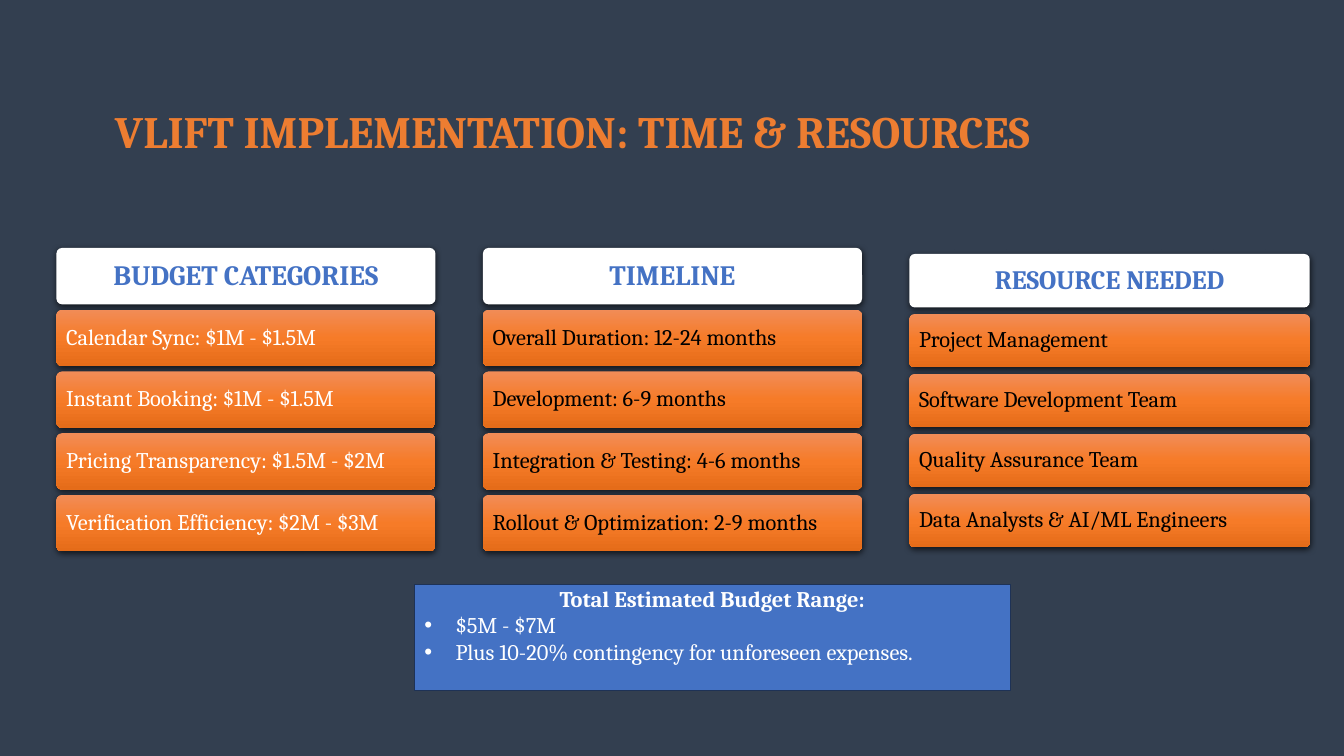
from copy import deepcopy
from dataclasses import dataclass

from lxml.etree import SubElement
from pptx import Presentation
from pptx.dml.color import RGBColor
from pptx.enum.shapes import MSO_SHAPE
from pptx.enum.text import MSO_ANCHOR, MSO_AUTO_SIZE, PP_ALIGN
from pptx.oxml.ns import qn
from pptx.util import Inches, Pt

TITLE = "VLIFT IMPLEMENTATION: TIME & RESOURCES"

COLUMNS = [
    {
        "heading": "BUDGET CATEGORIES",
        "items": ["Calendar Sync: $1M - $1.5M", "Instant Booking: $1M - $1.5M",
                  "Pricing Transparency: $1.5M - $2M", "Verification Efficiency: $2M - $3M"],
        "box": (0.56, 2.46, 3.76, 3.01), "card_height": 0.56,
        "heading_size": 20, "item_color": "FFFFFF",
    },
    {
        "heading": "TIMELINE",
        "items": ["Overall Duration: 12-24 months", "Development: 6-9 months",
                  "Integration & Testing: 4-6 months", "Rollout & Optimization: 2-9 months"],
        "box": (4.79, 2.46, 3.76, 3.01), "card_height": 0.56,
        "heading_size": 20, "item_color": "000000",
    },
    {
        "heading": "RESOURCE NEEDED",
        "items": ["Project Management", "Software Development Team",
                  "Quality Assurance Team", "Data Analysts & AI/ML Engineers"],
        "box": (9.02, 2.52, 3.97, 2.91), "card_height": 0.53,
        "heading_size": 19, "item_color": "000000",
    },
]

TOTAL_HEADING = "Total Estimated Budget Range:"
TOTAL_POINTS = ["$5M - $7M", "Plus 10-20% contingency for unforeseen expenses."]


@dataclass(frozen=True)
class Theme:
    """Colours, font and type sizes of the slide."""
    font: str = "Cambria"
    background: str = "333F50"
    title: str = "ED7D31"
    blue: str = "4472C4"
    blue_line: str = "1E3256"
    white: str = "FFFFFF"
    shadow: str = "000000"
    gradient: tuple = ((0, "F18C57"), (0.5, "F67B28"), (1, "E56C19"))
    title_size: int = 32
    body_size: int = 16


THEME = Theme()


def rgb(value):
    """Turn a hex string into a colour."""
    return RGBColor.from_string(value)


def write_text(paragraph, text, *, size=THEME.body_size, color=THEME.white, bold=False,
               align=PP_ALIGN.LEFT, line_spacing=1.0, bullet=False):
    """Fill one paragraph with formatted text."""
    if bullet:
        properties = paragraph._p.get_or_add_pPr()
        properties.set("marL", str(Inches(0.31)))
        properties.set("indent", str(-Inches(0.31)))
        SubElement(properties, qn("a:buFont"), typeface="Arial")
        SubElement(properties, qn("a:buChar"), char="•")
    paragraph.alignment = align
    paragraph.line_spacing = line_spacing
    run = paragraph.add_run()
    run.text = text
    run.font.name = THEME.font
    run.font.size = Pt(size)
    run.font.bold = bold
    run.font.color.rgb = rgb(color)


def fill_gradient(shape):
    """Give a shape the three-stop vertical gradient."""
    shape.fill.gradient()
    shape.fill.gradient_angle = 270
    stop_list = shape._element.spPr.find(qn("a:gradFill")).find(qn("a:gsLst"))
    stop_list.append(deepcopy(stop_list[0]))
    for stop, (position, color) in zip(shape.fill.gradient_stops, THEME.gradient):
        stop.position = position
        stop.color.rgb = rgb(color)


def add_shadow(shape):
    """Add a soft shadow below a shape."""
    effects = shape._element.spPr.find(qn("a:effectLst"))
    shadow = SubElement(effects, qn("a:outerShdw"), blurRad=str(Pt(4.5)), dist=str(Pt(1.5)),
                        dir="5400000", algn="ctr", rotWithShape="0")
    color = SubElement(shadow, qn("a:srgbClr"), val=THEME.shadow)
    SubElement(color, qn("a:alpha"), val="63000")


def add_card(slide, box, text, *, heading=False, **text_format):
    """Draw one rounded card with its text."""
    card = slide.shapes.add_shape(MSO_SHAPE.ROUNDED_RECTANGLE, *map(Inches, box))
    card.adjustments[0] = 0.1
    if heading:
        card.fill.solid()
        card.fill.fore_color.rgb = rgb(THEME.white)
    else:
        fill_gradient(card)
    card.line.fill.background()
    card.shadow.inherit = False
    add_shadow(card)
    frame = card.text_frame
    frame.word_wrap = True
    frame.vertical_anchor = MSO_ANCHOR.MIDDLE
    frame.margin_left = frame.margin_right = Inches(0.08)
    write_text(frame.paragraphs[0], text, line_spacing=0.9, **text_format)


def add_column(slide, column):
    """Stack a heading card and its item cards at equal steps."""
    left, top, width, stack_height = column["box"]
    height = column["card_height"]
    step = (stack_height - height) / len(column["items"])
    add_card(slide, (left, top, width, height), column["heading"], heading=True,
             size=column["heading_size"], color=THEME.blue, bold=True, align=PP_ALIGN.CENTER)
    for row, item in enumerate(column["items"], start=1):
        add_card(slide, (left, top + row * step, width, height), item,
                 color=column["item_color"])


def add_title(slide):
    """Place and format the title."""
    title = slide.shapes.title
    title.left, title.top, title.width, title.height = map(Inches, (1.04, 0.88, 10.96, 0.74))
    frame = title.text_frame
    frame.auto_size = MSO_AUTO_SIZE.NONE
    frame.word_wrap = True
    frame.vertical_anchor = MSO_ANCHOR.BOTTOM
    write_text(frame.paragraphs[0], TITLE, size=THEME.title_size, color=THEME.title,
               bold=True, line_spacing=0.9)


def add_total(slide):
    """Draw the box with the total budget."""
    box = slide.shapes.add_shape(MSO_SHAPE.RECTANGLE, *map(Inches, (4.11, 5.8, 5.91, 1.05)))
    box.fill.solid()
    box.fill.fore_color.rgb = rgb(THEME.blue)
    box.line.color.rgb = rgb(THEME.blue_line)
    box.line.width = Pt(1)
    box.shadow.inherit = False
    frame = box.text_frame
    frame.word_wrap = True
    frame.vertical_anchor = MSO_ANCHOR.TOP
    frame.margin_top = 0
    write_text(frame.paragraphs[0], TOTAL_HEADING, bold=True, align=PP_ALIGN.CENTER)
    for point in TOTAL_POINTS:
        write_text(frame.add_paragraph(), point, bullet=True)


def main():
    """Build the slide and save it."""
    presentation = Presentation()
    presentation.slide_width = Inches(13.33)
    presentation.slide_height = Inches(7.5)
    slide = presentation.slides.add_slide(presentation.slide_layouts[5])
    slide.background.fill.solid()
    slide.background.fill.fore_color.rgb = rgb(THEME.background)
    add_title(slide)
    for column in COLUMNS:
        add_column(slide, column)
    add_total(slide)
    presentation.save("out.pptx")


if __name__ == "__main__":
    main()
